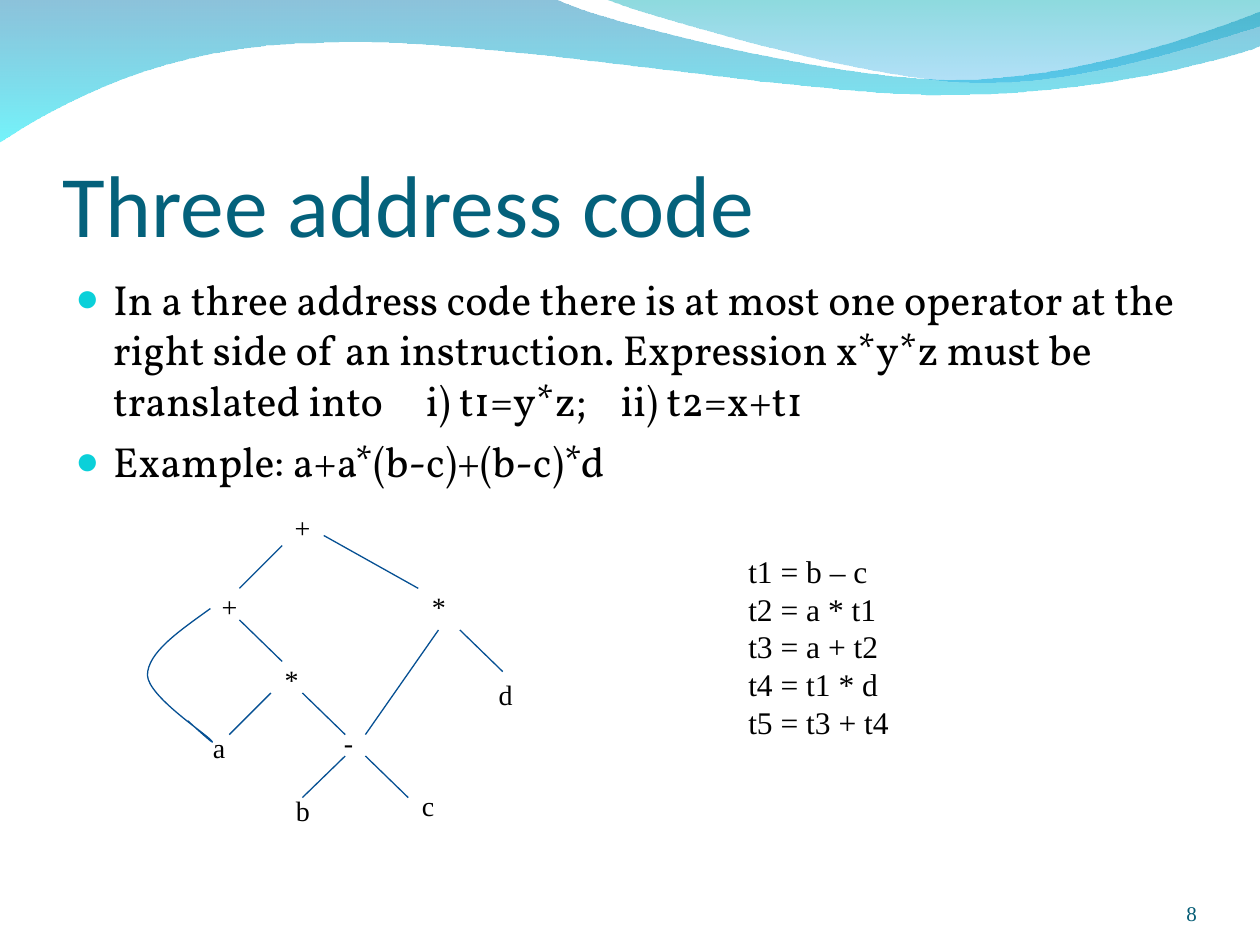
from lxml import etree
from pptx import Presentation
from pptx import util as u
from pptx.dml.color import RGBColor
from pptx.enum import shapes, text
from pptx.oxml import ns

TITLE = RGBColor(0x04, 0x61, 0x7B)
NUMBER = RGBColor(0x04, 0x5C, 0x75)
BLACK = RGBColor(0, 0, 0)
EDGE = RGBColor(0x06, 0x50, 0x93)
BULLET = RGBColor(0x0B, 0xD0, 0xD9)
WAVE_TOP = RGBColor(0x00, 0x79, 0xAF)
WAVE_BOTTOM = RGBColor(0x00, 0xEB, 0xF8)
CREST_TOP = RGBColor(0x00, 0xAD, 0xB6)
CREST_BOTTOM = RGBColor(0x00, 0x9B, 0xE5)

SERIF = "Times New Roman"
INSETS = (0.1, 0.05, 0.1, 0.05)

WAVE = [[(0, -0.01)], [(4.4, -0.01)],
        [(4.76, 0.17), (6.64, 0.63), (7.58, 0.63)],
        [(8.53, 0.63), (9.58, 0.26), (10, 0.09)], [(10.01, 0.36)],
        [(9.83, 0.44), (8.7, 0.76), (7.46, 0.75)],
        [(6.22, 0.75), (3.82, 0.28), (2.57, 0.34)],
        [(1.29, 0.35), (0.46, 0.83), (-0.01, 1.13)]]
CREST = [[(4.79, -0.01)], [(5.09, 0.11), (6.82, 0.62), (7.69, 0.65)],
         [(8.56, 0.69), (9.61, 0.32), (10, 0.21)], [(10, 0)]]
LOOP = [[(1.67, 4.83)], [(1.42, 5.01), (1.17, 5.18), (1.17, 5.36)],
        [(1.18, 5.53), (1.63, 5.82), (1.68, 5.88)],
        [(1.73, 5.94), (1.49, 5.72), (1.49, 5.72)]]

NODES = [("+", 2.24, 4), ("+", 1.66, 4.63), ("*", 3.33, 4.63), ("*", 2.16, 5.21),
         ("-", 2.63, 5.71), ("b", 2.25, 6.25), ("c", 3.25, 6.21),
         ("a", 1.59, 5.75), ("d", 3.86, 5.33)]
EDGES = [(2.24, 4.33, 1.9, 4.67), (2.57, 4.25, 3.32, 4.67),
         (1.9, 4.92, 2.24, 5.25), (2.15, 5.5, 1.82, 5.83),
         (2.4, 5.5, 2.74, 5.83), (3.48, 5, 2.9, 5.83),
         (3.65, 5, 3.99, 5.33), (2.74, 6, 2.4, 6.33), (2.9, 6, 3.24, 6.33)]

RULE = ["In a three address code there is at most one operator at the right side "
        "of an instruction. Expression x*y*z must be translated into", 19.7,
        "i) t1=y*z;", 14.7, "ii) t2=x+t1"]
EXAMPLE = ["Example: a+a*(b-c)+(b-c)*d"]
CODE = ["t1 = b – c", "t2 = a * t1", "t3 = a + t2", "t4 = t1 * d", "t5 = t3 + t4"]


class Sketch:
    """Holds the slide and the style its elements share."""

    def __init__(self, slide):
        self.slide = slide

    def outline(self, path, closed):
        start, *corners = [[u.Inches(value) for value in piece[-1]] for piece in path]
        builder = self.slide.shapes.build_freeform(*start)
        builder.add_line_segments(corners, close=closed)
        shape = builder.convert_to_shape()
        shape.shadow.inherit = False
        segments = list(shape._element.iter(ns.qn("a:lnTo")))
        for segment, piece in zip(segments, path[1:]):
            if len(piece) == 3:
                self.bend(shape, segment, piece)
        return shape

    def bend(self, shape, segment, controls):
        curve = etree.Element(ns.qn("a:cubicBezTo"))
        for x, y in controls:
            etree.SubElement(curve, ns.qn("a:pt"), x=str(u.Inches(x) - shape.left),
                             y=str(u.Inches(y) - shape.top))
        segment.getparent().replace(segment, curve)

    def wave(self, path, stops):
        shape = self.outline(path, True)
        shape.line.fill.background()
        shape.fill.gradient()
        shape.fill.gradient_angle = 270
        for stop, (color, _) in zip(shape.fill.gradient_stops, stops):
            stop.color.rgb = color
        for node, (_, opacity) in zip(shape._element.spPr.iter(ns.qn("a:srgbClr")), stops):
            etree.SubElement(node, ns.qn("a:alpha"), val=str(opacity * 1000))

    def curve(self, path):
        shape = self.outline(path, False)
        shape.fill.background()
        self.stroke(shape)

    def edge(self, *ends):
        line = self.slide.shapes.add_connector(
            shapes.MSO_CONNECTOR.STRAIGHT, *(u.Inches(end) for end in ends))
        etree.SubElement(line._element.spPr, ns.qn("a:effectLst"))
        self.stroke(line)

    def stroke(self, shape):
        shape.line.color.rgb = EDGE
        shape.line.width = u.Pt(0.75)

    def textbox(self, place):
        return self.slide.shapes.add_textbox(*(u.Inches(value) for value in place))

    def label(self, lines, place, size, color=BLACK, font=SERIF, insets=INSETS,
              wrap=False, anchor=text.MSO_ANCHOR.TOP, align=text.PP_ALIGN.LEFT):
        frame = self.textbox(place).text_frame
        frame.text = "\n".join(lines)
        frame.word_wrap = wrap
        if not wrap:
            frame.auto_size = text.MSO_AUTO_SIZE.SHAPE_TO_FIT_TEXT
        frame.vertical_anchor = anchor
        (frame.margin_left, frame.margin_top,
         frame.margin_right, frame.margin_bottom) = (u.Inches(value) for value in insets)
        for para in frame.paragraphs:
            para.alignment = align
            for span in para.runs:
                self.font(span, size, color, font)

    def font(self, span, size, color, name):
        span.font.size = u.Pt(size)
        span.font.color.rgb = color
        span.font.name = name

    def bullets(self, items, place, size, font):
        frame = self.textbox(place).text_frame
        frame.word_wrap = True
        for index, item in enumerate(items):
            para = frame.add_paragraph() if index else frame.paragraphs[0]
            para.space_before = u.Pt(6.5)
            for part in item:
                span = para.add_run()
                is_gap = isinstance(part, float)
                span.text = " " if is_gap else part
                self.font(span, size, BLACK, font)
                if is_gap:
                    span.font._element.set("spc", str(round(part * 100)))
            self.bullet(para)

    def bullet(self, para):
        props = para._p.get_or_add_pPr()
        props.set("marL", str(u.Inches(0.3)))
        props.set("indent", str(u.Inches(-0.3)))
        color = etree.SubElement(props, ns.qn("a:buClr"))
        etree.SubElement(color, ns.qn("a:srgbClr"), val=str(BULLET))
        etree.SubElement(props, ns.qn("a:buSzPct"), val="95000")
        etree.SubElement(props, ns.qn("a:buFont"), typeface=SERIF)
        etree.SubElement(props, ns.qn("a:buChar"), char="●")


def main():
    deck = Presentation()
    deck.slide_width, deck.slide_height = u.Inches(10), u.Inches(7.5)
    sketch = Sketch(deck.slides.add_slide(deck.slide_layouts[6]))

    sketch.wave(WAVE, [(WAVE_TOP, 45), (WAVE_BOTTOM, 55)])
    sketch.wave(CREST, [(CREST_TOP, 45), (CREST_BOTTOM, 30)])
    sketch.label(["Three address code"], (0.5, 0.77, 9, 1.25), 50, TITLE, "Calibri",
                 (0, 0.05, 0, 0), True, text.MSO_ANCHOR.BOTTOM)
    sketch.bullets([RULE, EXAMPLE], (0.5, 2.12, 9, 1.8), 24, "Vollkorn")

    for ends in EDGES:
        sketch.edge(*ends)
    sketch.curve(LOOP)
    for symbol, left, top in NODES:
        sketch.label([symbol], (left, top, 0.31, 0.37), 16)

    sketch.label(CODE, (5.84, 4.33, 1.32, 1.9), 18)
    sketch.label(["8"], (8.67, 6.95, 0.83, 0.4), 12, NUMBER, insets=(0, 0, 0, 0),
                 wrap=True, anchor=text.MSO_ANCHOR.BOTTOM, align=text.PP_ALIGN.RIGHT)
    deck.save("out.pptx")


if __name__ == "__main__":
    main()
